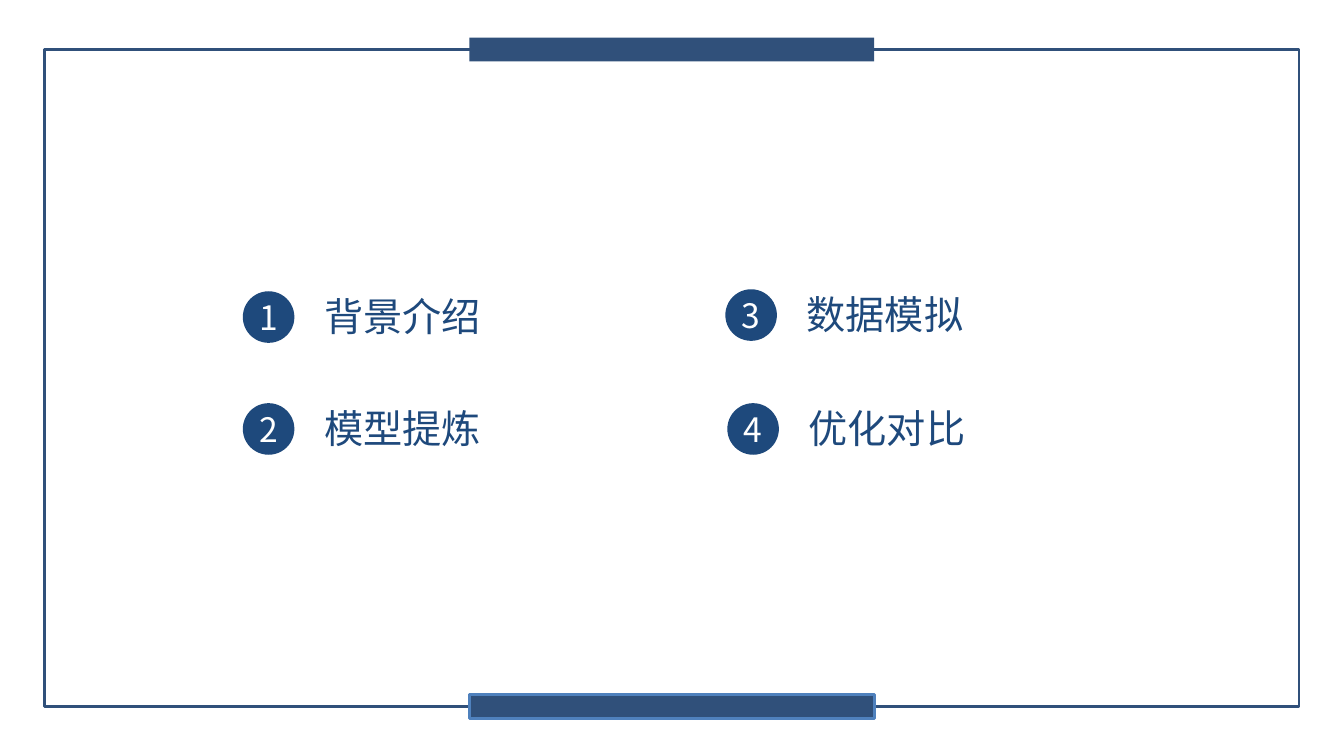
from lxml import etree
from pptx import Presentation
from pptx.dml.color import RGBColor
from pptx.enum.shapes import MSO_SHAPE
from pptx.enum.text import MSO_ANCHOR, PP_ALIGN
from pptx.oxml.ns import qn
from pptx.util import Cm, Pt

RECTANGLE, OVAL = MSO_SHAPE.RECTANGLE, MSO_SHAPE.OVAL
MIDDLE = MSO_ANCHOR.MIDDLE
LEFT, CENTER = PP_ALIGN.LEFT, PP_ALIGN.CENTER

NAVY = RGBColor(0x1E, 0x49, 0x7C)
FRAME_BLUE = RGBColor(0x30, 0x50, 0x7A)
EDGE_BLUE = RGBColor(0x4F, 0x81, 0xBD)
WHITE = RGBColor(0xFF, 0xFF, 0xFF)
FONT = "Noto Sans CJK SC"

presentation = Presentation()
presentation.slide_width = Cm(33.87)
presentation.slide_height = Cm(19.05)
slide = presentation.slides.add_slide(presentation.slide_layouts[6])


def add_plain_shape(kind, left, top, width, height, fill=None, line=None):
    shape = slide.shapes.add_shape(kind, Cm(left), Cm(top), Cm(width), Cm(height))
    shape.shadow.inherit = False
    if fill is None:
        shape.fill.background()
    else:
        shape.fill.solid()
        shape.fill.fore_color.rgb = fill
    if line is None:
        shape.line.fill.background()
    else:
        shape.line.color.rgb = line
        shape.line.width = Pt(2)
    return shape


def write_text(shape, text, size, color, alignment, margins):
    """Fill a shape with one vertically centred line of text."""
    frame = shape.text_frame
    frame.word_wrap = True
    frame.vertical_anchor = MIDDLE
    for side, margin in margins.items():
        setattr(frame, f"margin_{side}", Cm(margin))
    paragraph = frame.paragraphs[0]
    paragraph.alignment = alignment
    run = paragraph.add_run()
    run.text = text
    run.font.size = Pt(size)
    run.font.color.rgb = color
    run.font.name = FONT
    east_asian = etree.SubElement(run.font._element, qn("a:ea"))
    east_asian.set("typeface", FONT)
    return paragraph


# Agenda: number badge and label, with the left and top of each badge
BADGE_SIZE = 1.3
agenda = [
    ("背景介绍", 6.12, 7.34),
    ("模型提炼", 6.12, 10.16),
    ("数据模拟", 18.28, 7.29),
    ("优化对比", 18.33, 10.16),
]
badge_margins = dict.fromkeys(("left", "right", "top", "bottom"), 0)
label_margins = {"left": 0.79, "right": 0.25, "top": 0.13, "bottom": 0.13}

for number, (topic, left, top) in enumerate(agenda, start=1):
    label = slide.shapes.add_textbox(Cm(left + 1.26), Cm(top - 0.17), Cm(10.39), Cm(1.73))
    paragraph = write_text(label, topic, 28, NAVY, LEFT, label_margins)
    paragraph.line_spacing = 0.9
    badge = add_plain_shape(OVAL, left, top, BADGE_SIZE, BADGE_SIZE, fill=NAVY)
    write_text(badge, str(number), 24, WHITE, CENTER, badge_margins)

# Frame with a bar across its top and bottom edges
add_plain_shape(RECTANGLE, 1.12, 1.24, 31.62, 16.56, line=FRAME_BLUE)
for top, edge in ((0.95, None), (17.5, EDGE_BLUE)):
    add_plain_shape(RECTANGLE, 11.83, top, 10.2, 0.6, fill=FRAME_BLUE, line=edge)

presentation.save("out.pptx")
